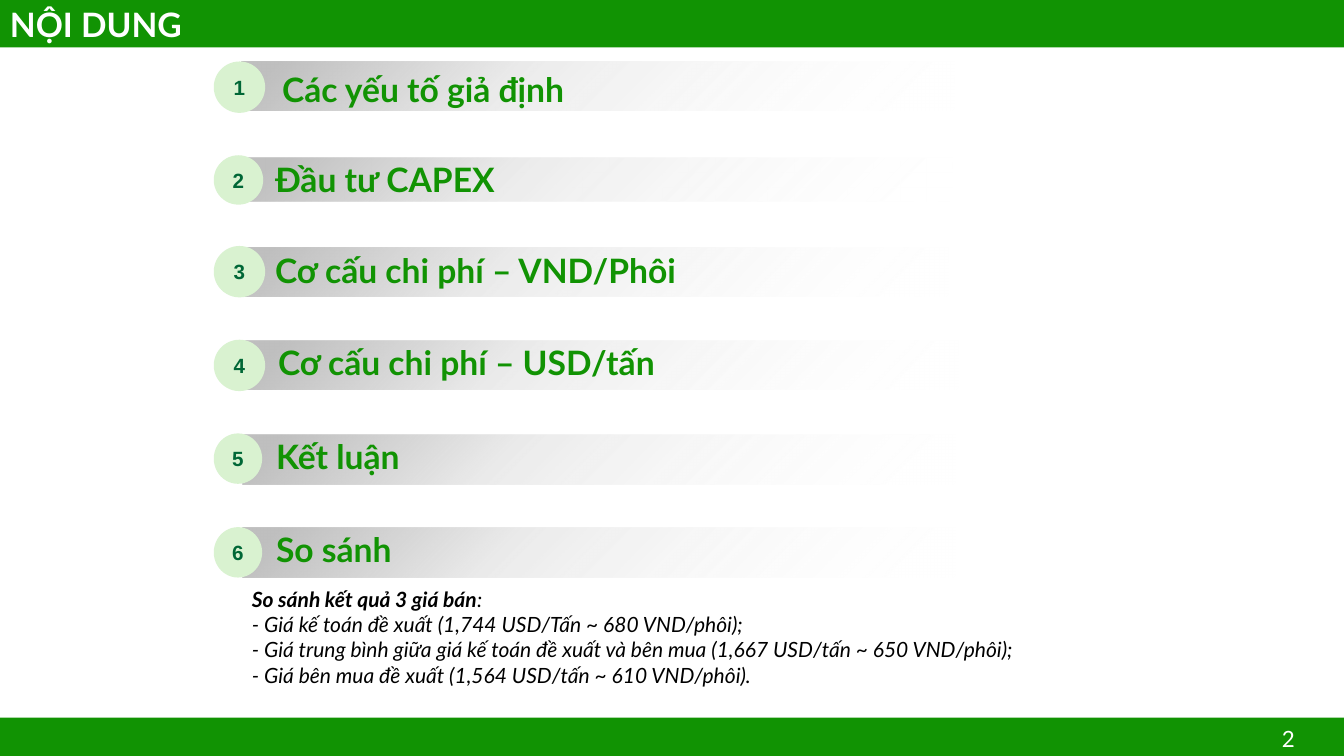
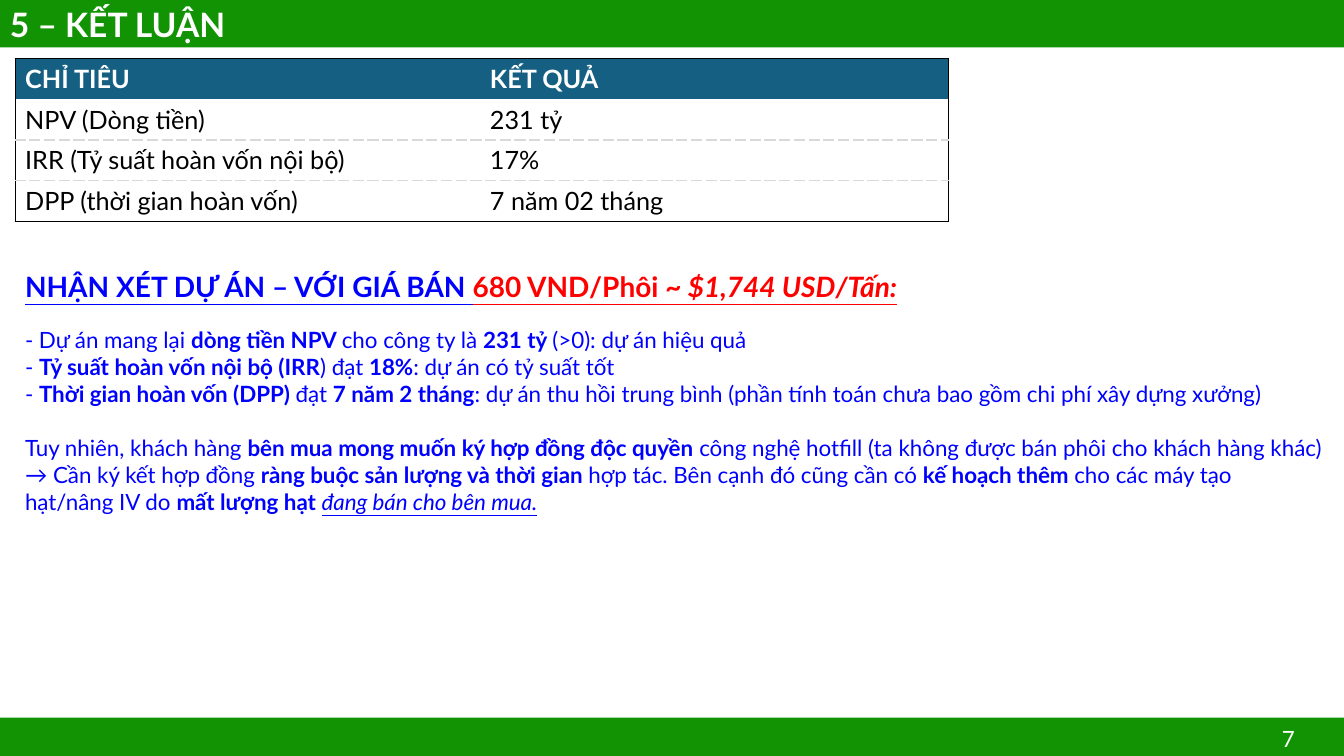
"""Builds two slides of a project appraisal: the contents list and the conclusion."""
from lxml import etree
from pptx import Presentation
from pptx.dml.color import RGBColor
from pptx.enum.shapes import MSO_SHAPE
from pptx.enum.text import MSO_ANCHOR, PP_ALIGN
from pptx.oxml import parse_xml
from pptx.oxml.ns import nsdecls, qn
from pptx.util import Inches, Pt

RECTANGLE, OVAL = MSO_SHAPE.RECTANGLE, MSO_SHAPE.OVAL
MIDDLE, TOP = MSO_ANCHOR.MIDDLE, MSO_ANCHOR.TOP
LEFT, CENTER, RIGHT = PP_ALIGN.LEFT, PP_ALIGN.CENTER, PP_ALIGN.RIGHT

GREEN = RGBColor(0x11, 0x93, 0x03)
PALE_GREEN = RGBColor(0xD9, 0xF2, 0xD0)
DARK_GREEN = RGBColor(0x00, 0x67, 0x36)
TEAL = RGBColor(0x15, 0x60, 0x82)
BLUE = RGBColor(0x00, 0x00, 0xFF)
RED = RGBColor(0xFF, 0x00, 0x00)
BLACK = RGBColor(0x00, 0x00, 0x00)
WHITE = RGBColor(0xFF, 0xFF, 0xFF)
GREY = RGBColor(0xD9, 0xD9, 0xD9)

SLIDE_WIDTH = 13.33
FADE = f"""<a:gradFill {nsdecls('a')} rotWithShape="1"><a:gsLst>
<a:gs pos="5000"><a:srgbClr val="BFBFBF"/></a:gs>
<a:gs pos="37000"><a:srgbClr val="BFBFBF"><a:alpha val="31000"/></a:srgbClr></a:gs>
<a:gs pos="100000"><a:srgbClr val="FFFFFF"><a:alpha val="0"/></a:srgbClr></a:gs>
</a:gsLst><a:lin ang="2700000" scaled="0"/></a:gradFill>"""


def add_box(slide, left, top, width, height, kind=None, fill=None, anchor=MIDDLE):
    area = [Inches(length) for length in (left, top, width, height)]
    if kind is None:
        shape = slide.shapes.add_textbox(*area)
    else:
        shape = slide.shapes.add_shape(kind, *area)
        shape.shadow.inherit = False
        shape.line.fill.background()
        if fill is not None:
            shape.fill.solid()
            shape.fill.fore_color.rgb = fill
    shape.text_frame.word_wrap = True
    shape.text_frame.vertical_anchor = anchor
    return shape


def write(paragraph, text, size, color, bold=False, align=LEFT, name="Lato"):
    paragraph.alignment = align
    font = paragraph.font
    font.name, font.size, font.bold = name, Pt(size), bold
    font.color.rgb = color
    for index, piece in enumerate(text.split("**")):
        if piece:
            run = paragraph.add_run()
            run.text = piece
            if index % 2:
                run.font.bold = True


presentation = Presentation()
presentation.slide_width = Inches(SLIDE_WIDTH)
presentation.slide_height = Inches(7.5)

slides = []
for title, number in (("NỘI DUNG", "2"), ("5 – KẾT LUẬN", "7")):
    slide = presentation.slides.add_slide(presentation.slide_layouts[6])
    add_box(slide, 0, 7.12, SLIDE_WIDTH, 0.38, RECTANGLE, GREEN)
    title_band = add_box(slide, 0, 0, SLIDE_WIDTH, 0.47, RECTANGLE, GREEN)
    write(title_band.text_frame.paragraphs[0], title, 24, WHITE, bold=True)
    page_number = add_box(slide, 12.33, 7.17, 0.61, 0.31)
    write(page_number.text_frame.paragraphs[0], number, 16, WHITE, align=RIGHT)
    slides.append(slide)
contents_slide, conclusion_slide = slides

CONTENTS = [
    ("Các yếu tố giả định", 2.4, 0.61, 0.49, 2.7, 0.63, 0.61, 0.51, 0.51),
    ("Đầu tư CAPEX", 2.38, 1.56, 0.44, 2.63, 1.53, 1.54, 0.49, 0.49),
    ("Cơ cấu chi phí – VND/Phôi", 2.34, 2.46, 0.48, 2.63, 2.43, 2.44, 0.51, 0.51),
    ("Cơ cấu chi phí – USD/tấn", 2.44, 3.38, 0.48, 2.66, 3.34, 3.37, 0.51, 0.51),
    ("Kết luận", 2.41, 4.31, 0.5, 2.64, 4.27, 4.3, 0.48, 0.5),
    ("So sánh", 2.41, 5.23, 0.5, 2.64, 5.2, 5.23, 0.48, 0.5),
]
for number, entry in enumerate(CONTENTS, 1):
    (heading, bar_left, bar_top, bar_height, text_left, text_top,
     disc_top, disc_width, disc_height) = entry
    bar = add_box(contents_slide, bar_left, bar_top, 7.07, bar_height, RECTANGLE)
    bar._element.spPr.find(qn("a:prstGeom")).addnext(parse_xml(FADE))
    label = add_box(contents_slide, text_left, text_top, 8, 0.5)
    write(label.text_frame.paragraphs[0], heading, 24, GREEN, bold=True)
    disc = add_box(contents_slide, 2.12, disc_top, disc_width, disc_height, OVAL, PALE_GREEN)
    frame = disc.text_frame
    frame.margin_left = frame.margin_right = Inches(0.08)
    frame.margin_top = frame.margin_bottom = Inches(0.1)
    write(frame.paragraphs[0], str(number), 14.7, DARK_GREEN, True, CENTER, "Arial")

COMPARISON = [
    "**So sánh kết quả 3 giá bán**:",
    "- Giá kế toán đề xuất (1,744 USD/Tấn ~ 680 VND/phôi);",
    "- Giá trung bình giữa giá kế toán đề xuất và bên mua (1,667 USD/tấn ~ 650 VND/phôi);",
    "- Giá bên mua đề xuất (1,564 USD/tấn ~ 610 VND/phôi).",
]
frame = add_box(contents_slide, 2.4, 5.77, 9.68, 1.11, anchor=TOP).text_frame
for index, line in enumerate(COMPARISON):
    paragraph = frame.add_paragraph() if index else frame.paragraphs[0]
    write(paragraph, line, 15, BLACK)
    paragraph.font.italic = True

RESULTS = [
    ("CHỈ TIÊU", "KẾT QUẢ"),
    ("NPV (Dòng tiền)", "231 tỷ"),
    ("IRR (Tỷ suất hoàn vốn nội bộ)", "17%"),
    ("DPP (thời gian hoàn vốn)", "7 năm 02 tháng"),
]
last_row = len(RESULTS) - 1
SOLID_EDGE, DASHED_EDGE = (BLACK, "solid"), (GREY, "sysDash")
table = conclusion_slide.shapes.add_table(
    len(RESULTS), 2, Inches(0.15), Inches(0.58), Inches(9.26), Inches(1.62)).table
table.first_row = table.horz_banding = False
table.columns[0].width, table.columns[1].width = Inches(4.61), Inches(4.65)
for row, values in enumerate(RESULTS):
    for column, value in enumerate(values):
        cell = table.cell(row, column)
        header = row == 0
        write(cell.text_frame.paragraphs[0], value, 18, WHITE if header else BLACK, header)
        if header:
            cell.fill.solid()
            cell.fill.fore_color.rgb = TEAL
        else:
            cell.fill.background()
        edges = {
            "lnL": SOLID_EDGE if column == 0 else None,
            "lnR": SOLID_EDGE if column == 1 else None,
            "lnT": {0: SOLID_EDGE, 1: None}.get(row, DASHED_EDGE),
            "lnB": {0: None, last_row: SOLID_EDGE}.get(row, DASHED_EDGE),
        }
        properties = cell._tc.get_or_add_tcPr()
        for position, (tag, edge) in enumerate(edges.items()):
            border = etree.Element(qn(f"a:{tag}"), w=str(Pt(1)))
            if edge is None:
                etree.SubElement(border, qn("a:noFill"))
            else:
                color, dash = edge
                fill = etree.SubElement(border, qn("a:solidFill"))
                etree.SubElement(fill, qn("a:srgbClr"), val=str(color))
                etree.SubElement(border, qn("a:prstDash"), val=dash)
            properties.insert(position, border)

REMARKS = [
    ("- Dự án mang lại **dòng tiền NPV **cho công ty là **231 tỷ **(>0): dự án hiệu quả", 17),
    ("- **Tỷ suất hoàn vốn nội bộ (IRR**) đạt **18%**: dự án có tỷ suất tốt", 0),
    ("- **Thời gian hoàn vốn (DPP) **đạt **7 năm 2 tháng**: dự án thu hồi trung bình "
     "(phần tính toán chưa bao gồm chi phí xây dựng xưởng)", 0),
    ("Tuy nhiên, khách hàng **bên mua mong muốn ký hợp đồng độc quyền** công nghệ hotfill "
     "(ta không được bán phôi cho khách hàng khác) → Cần ký kết hợp đồng "
     "**ràng buộc sản lượng và thời gian **hợp tác. Bên cạnh đó cũng cần có "
     "**kế hoạch thêm **cho các máy tạo hạt/nâng IV do **mất lượng hạt **", 19.2),
]
frame = add_box(conclusion_slide, 0.15, 2.62, 13.1, 2.56, anchor=TOP).text_frame
paragraph = frame.paragraphs[0]
write(paragraph, "NHẬN XÉT DỰ ÁN – VỚI GIÁ BÁN ", 20, BLUE, bold=True)
paragraph.font.underline = True
for text, italic in (("680 VND/Phôi ", False), ("~ $1,744 USD/Tấn:", True)):
    run = paragraph.add_run()
    run.text = text
    run.font.color.rgb = RED
    run.font.italic = italic
for remark, space in REMARKS:
    paragraph = frame.add_paragraph()
    paragraph.space_before = Pt(space)
    write(paragraph, remark, 16, BLUE)
run = paragraph.add_run()
run.text = "đang bán cho bên mua."
run.font.italic = run.font.underline = True

presentation.save("out.pptx")
